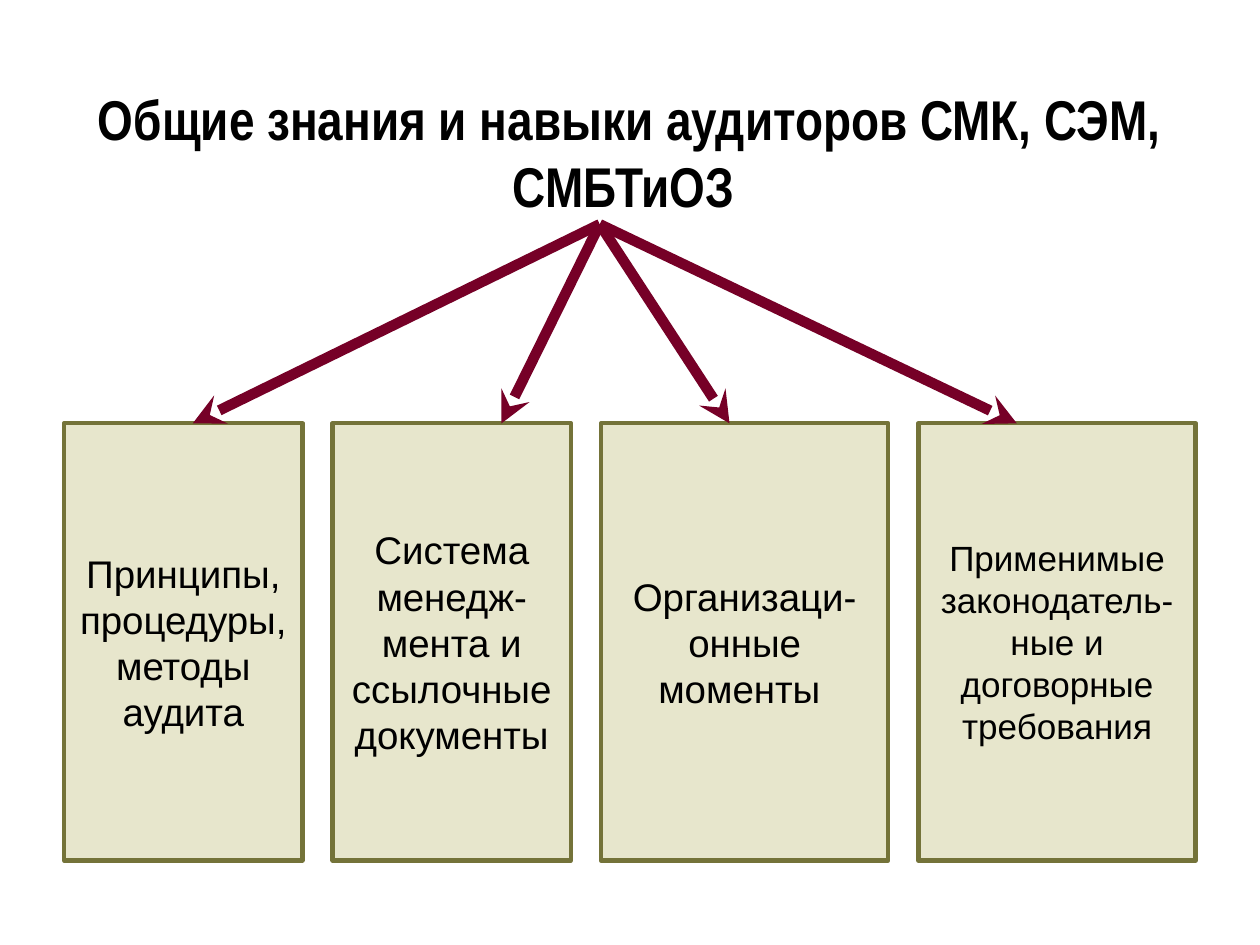
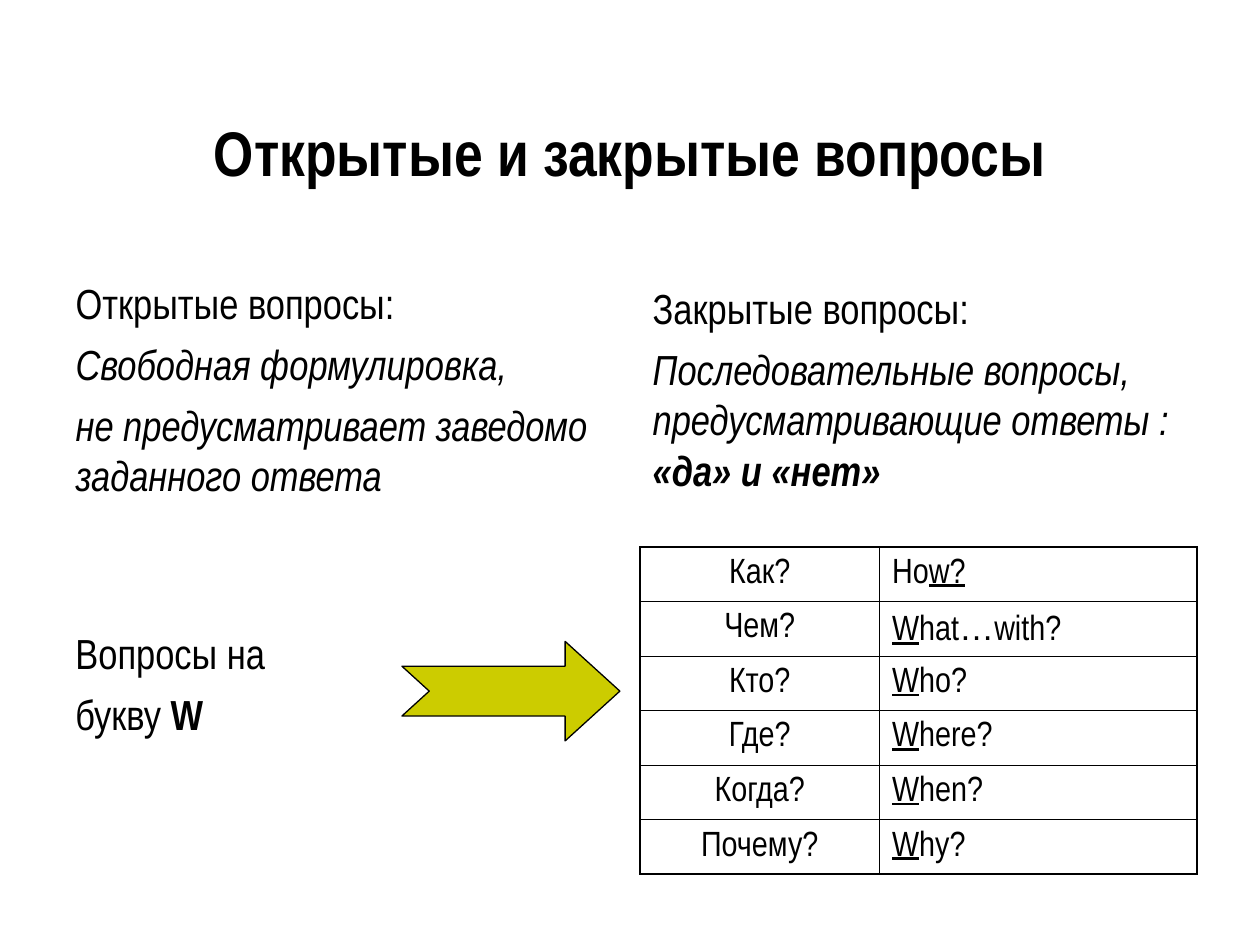
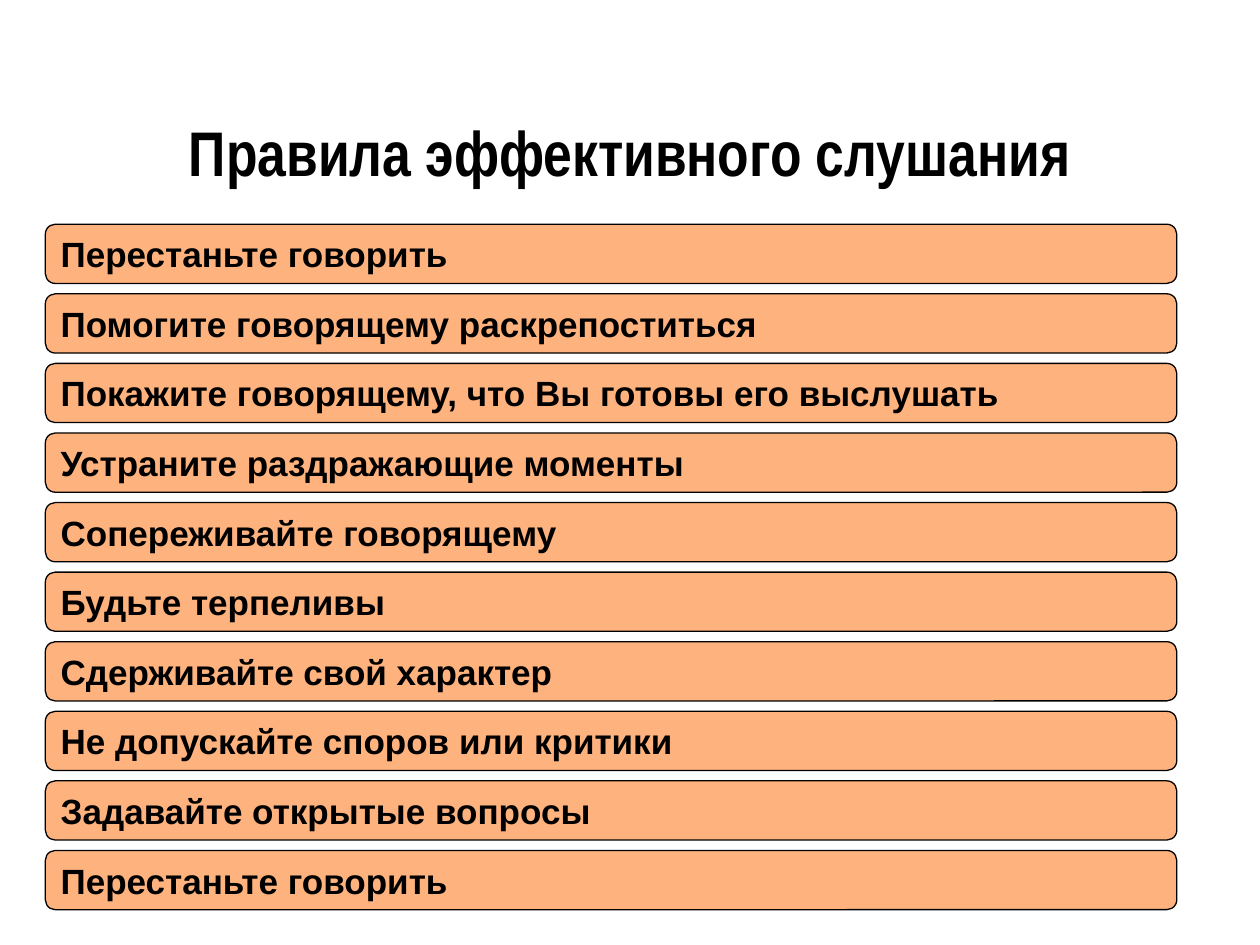
from lxml.etree import SubElement
from pptx import Presentation
from pptx.dml.color import RGBColor
from pptx.enum.shapes import MSO_CONNECTOR, MSO_SHAPE
from pptx.enum.text import MSO_ANCHOR, MSO_AUTO_SIZE, PP_ALIGN
from pptx.oxml.ns import qn
from pptx.util import Inches, Pt

BLACK, SAND, OLIVE = "000000", "E7E6CC", "747339"
WINE, LIME, PEACH = "760027", "CCCC00", "FEB27E"
NARROW, PLAIN = "Arial Narrow", "Arial"


def add_run(p, text, size, font=NARROW, **style):
    r = p.add_run()
    r.text = text
    r.font.size, r.font.name = Pt(size), font
    r.font.color.rgb = RGBColor.from_string(BLACK)
    for name, value in style.items():
        setattr(r.font, name, value)


def add_box(s, kind, left, top, width, height, fill, line, weight):
    sp = s.shapes.add_shape(kind, Inches(left), Inches(top), Inches(width), Inches(height))
    sp.shadow.inherit = False
    sp.fill.solid()
    sp.fill.fore_color.rgb = RGBColor.from_string(fill)
    sp.line.color.rgb = RGBColor.from_string(line)
    sp.line.width = Pt(weight)
    sp.text_frame.word_wrap = True
    sp.text_frame.vertical_anchor = MSO_ANCHOR.MIDDLE
    return sp


prs = Presentation()
prs.slide_width, prs.slide_height = Inches(10), Inches(7.5)

# Slides with their titles
TITLE_ONLY, TWO_CONTENT = 5, 3
for layout, title, size in [
    (TITLE_ONLY, "Общие знания и навыки аудиторов СМК, СЭМ, СМБТиОЗ ", 32),
    (TWO_CONTENT, "Открытые и закрытые вопросы", 36),
    (TITLE_ONLY, "Правила эффективного слушания", 36),
]:
    s = prs.slides.add_slide(prs.slide_layouts[layout])
    sp = s.shapes.title
    sp.left, sp.top, sp.width, sp.height = Inches(0.5), Inches(0.58), Inches(9), Inches(1.25)
    tf = sp.text_frame
    tf.auto_size = MSO_AUTO_SIZE.NONE
    tf.vertical_anchor = MSO_ANCHOR.MIDDLE
    p = tf.paragraphs[0]
    p.alignment = PP_ALIGN.CENTER
    add_run(p, title, size, bold=True)

skills, questions, rules = prs.slides

# Slide 1: four areas of knowledge
box_top, gap = 3.36, 0.24
left = 0.51
for text, width, size in [
    ("Принципы, процедуры, методы аудита", 1.89, 22),
    ("Система менедж-мента и ссылочные документы", 1.89, 22),
    ("Организаци-онные моменты ", 2.28, 22),
    ("Применимые законодатель-ные и договорные требования", 2.2, 20),
]:
    sp = add_box(skills, MSO_SHAPE.RECTANGLE, left, box_top, width, 3.47, SAND, OLIVE, 2.5)
    tf = sp.text_frame
    tf.margin_left = tf.margin_right = Inches(0.02)
    tf.margin_top = tf.margin_bottom = Inches(0.01)
    p = tf.paragraphs[0]
    p.alignment = PP_ALIGN.CENTER
    add_run(p, text, size, PLAIN)
    left += width + gap

# Slide 1: arrows fanning out from the title
for end_x in (1.53, 3.98, 5.79, 8.07):
    cxn = skills.shapes.add_connector(
        MSO_CONNECTOR.STRAIGHT, Inches(4.76), Inches(1.78), Inches(end_x), Inches(box_top))
    cxn.line.color.rgb = RGBColor.from_string(WINE)
    cxn.line.width = Pt(6)
    SubElement(cxn.line._get_or_add_ln(), qn("a:tailEnd"), type="stealth")
    SubElement(cxn._element.spPr, qn("a:effectLst"))

# Slide 2: two kinds of questions and the note on W
col_left, col_right, col_width = 0.5, 5.08, 4.42
row_top, row_bottom = 2, 4.34
open_body, closed_body = questions.placeholders[1], questions.placeholders[2]
note = questions.shapes.add_textbox(0, 0, 0, 0)
for sp, left, top, paragraphs in [
    (open_body, col_left, row_top, [
        [("Открытые вопросы:", {})],
        [("Свободная формулировка,", {"italic": True})],
        [("не предусматривает заведомо заданного ответа", {"italic": True})]]),
    (closed_body, col_right, row_top, [
        [("Закрытые вопросы:", {})],
        [("Последовательные вопросы, предусматривающие ответы : ", {"italic": True}),
         ("«да» и «нет»", {"italic": True, "bold": True})]]),
    (note, col_left, row_bottom, [
        [("Вопросы на", {})],
        [("букву ", {}), ("W", {"bold": True})]]),
]:
    sp.left, sp.top, sp.width, sp.height = Inches(left), Inches(top), Inches(col_width), Inches(2.17)
    tf = sp.text_frame
    tf.word_wrap = True
    tf.auto_size = MSO_AUTO_SIZE.NONE
    tf.vertical_anchor = MSO_ANCHOR.MIDDLE
    for i, runs in enumerate(paragraphs):
        p = tf.add_paragraph() if i else tf.paragraphs[0]
        pPr = p._p.get_or_add_pPr()
        pPr.set("marL", "0")
        pPr.set("indent", "0")
        SubElement(pPr, qn("a:buNone"))
        p.space_before = Pt(6 if i else 0)
        for text, style in runs:
            add_run(p, text, 24, **style)

# Slide 2: table of question words
U = {"underline": True}
words = [
    ("Как?", [("Ho", {}), ("w?", U)]),
    ("Чем?", [("W", U), ("hat", {}), ("…", {"font": PLAIN}), ("with?", {})]),
    ("Кто?", [("W", U), ("ho?", {})]),
    ("Где?", [("W", U), ("here?", {})]),
    ("Когда?", [("W", U), ("hen?", {})]),
    ("Почему?", [("W", U), ("hy?", {})]),
]
table = questions.shapes.add_table(
    len(words), 2, Inches(col_right), Inches(row_bottom), Inches(col_width), Inches(2.6)).table
table.first_row = table.horz_banding = False
table.columns[0].width, table.columns[1].width = Inches(1.9), Inches(2.52)
for row, (russian, english) in enumerate(words):
    for col, runs in enumerate([[(russian, {})], english]):
        cell = table.cell(row, col)
        cell.vertical_anchor = MSO_ANCHOR.MIDDLE
        p = cell.text_frame.paragraphs[0]
        p.alignment = PP_ALIGN.LEFT if col else PP_ALIGN.CENTER
        for text, style in runs:
            add_run(p, text, 20, **style)
        # Thick frame outside, thin rules inside
        outer = {"L": col == 0, "R": col == 1, "T": row == 0, "B": row == len(words) - 1}
        tcPr = cell._tc.get_or_add_tcPr()
        for side, is_outer in outer.items():
            ln = SubElement(tcPr, qn(f"a:ln{side}"), w=str(Pt(1.08 if is_outer else 0.45)))
            SubElement(SubElement(ln, qn("a:solidFill")), qn("a:srgbClr"), val=BLACK)
        cell.fill.background()

# Slide 2: arrow from the note to the table
arrow = add_box(questions, MSO_SHAPE.NOTCHED_RIGHT_ARROW, 3.19, 5.09, 1.73, 0.79, LIME, BLACK, 0.75)
arrow.adjustments[1] = 0.55

# Slide 3: rules in evenly spaced bars
listening_rules = [
    "Перестаньте говорить",
    "Помогите говорящему раскрепоститься",
    "Покажите говорящему, что Вы готовы его выслушать",
    "Устраните раздражающие моменты",
    "Сопереживайте говорящему",
    "Будьте терпеливы",
    "Сдерживайте свой характер",
    "Не допускайте споров или критики",
    "Задавайте открытые вопросы",
    "Перестаньте говорить",
]
first_top, last_top = 1.78, 6.75
step = (last_top - first_top) / (len(listening_rules) - 1)
for i, rule in enumerate(listening_rules):
    sp = add_box(rules, MSO_SHAPE.ROUNDED_RECTANGLE, 0.36, first_top + i * step, 8.98, 0.47,
                 PEACH, BLACK, 0.75)
    p = sp.text_frame.paragraphs[0]
    p.alignment = PP_ALIGN.LEFT
    add_run(p, rule, 20, PLAIN, bold=True)

prs.save("out.pptx")
